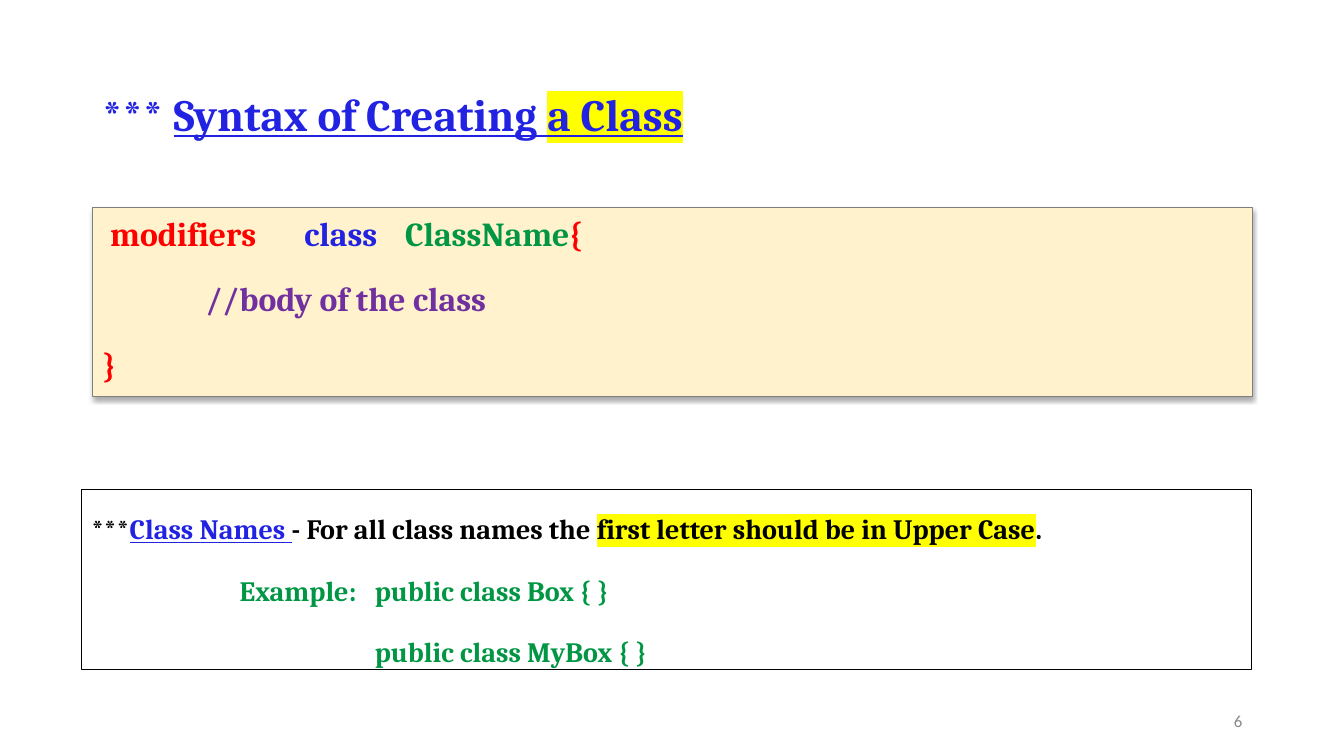
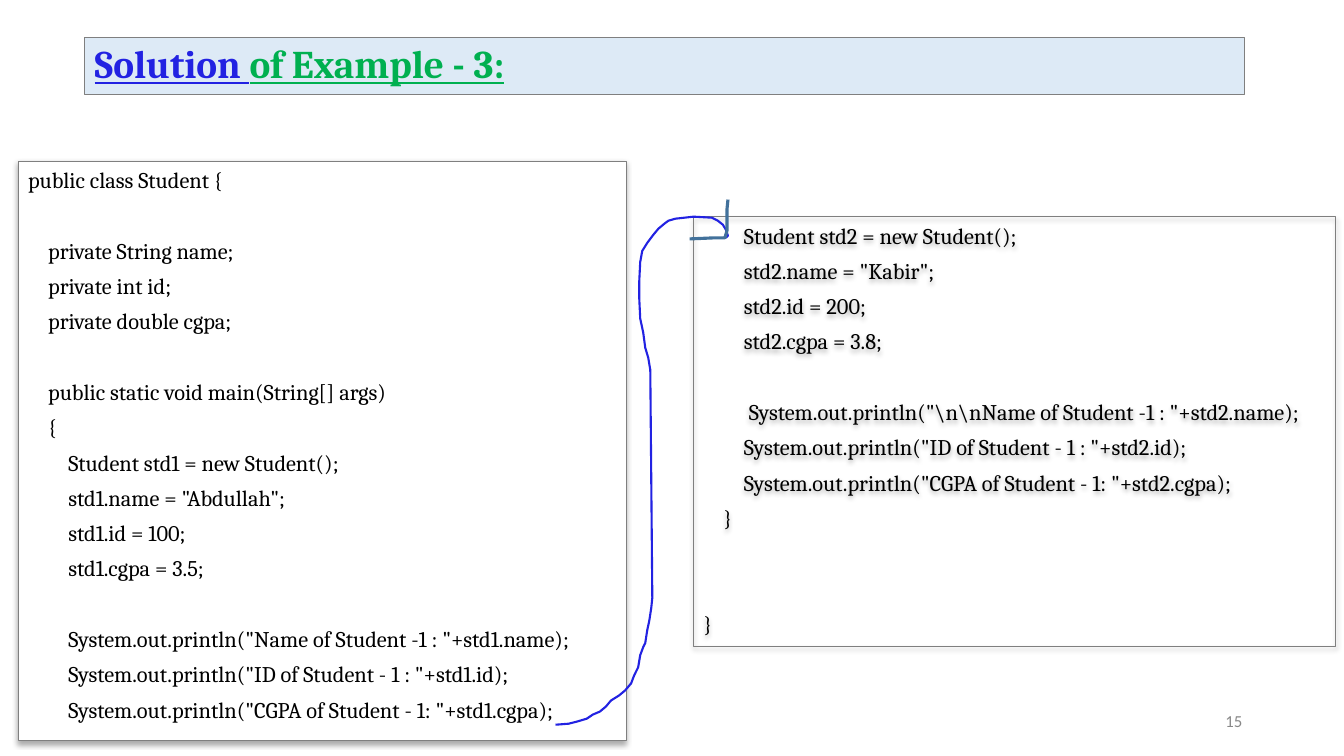
from lxml.etree import SubElement
from pptx import Presentation
from pptx.dml.color import RGBColor
from pptx.enum.shapes import MSO_SHAPE
from pptx.enum.text import MSO_ANCHOR as ANCHOR, PP_ALIGN as ALIGN
from pptx.oxml.ns import qn
from pptx.util import Inches, Pt

BLACK = RGBColor(0x00, 0x00, 0x00)
WHITE = RGBColor(0xFF, 0xFF, 0xFF)
GRAY = RGBColor(0x7F, 0x7F, 0x7F)
NUMBER_GRAY = RGBColor(0x88, 0x88, 0x88)
BLUE = RGBColor(0x22, 0x22, 0xE2)
STEEL = RGBColor(0x42, 0x71, 0x9B)
PALE_BLUE = RGBColor(0xDD, 0xEA, 0xF6)
CREAM = RGBColor(0xFF, 0xF2, 0xCC)
RED = RGBColor(0xFF, 0x00, 0x00)
GREEN = RGBColor(0x00, 0x96, 0x44)
BRIGHT_GREEN = RGBColor(0x00, 0xB0, 0x50)
PURPLE = RGBColor(0x70, 0x30, 0xA0)
YELLOW = RGBColor(0xFF, 0xFF, 0x00)

CODE_SIZE = 16
CODE_GAP = 6       # points between code lines
CODE_PITCH = 25.3  # points from one code line to the next
CODE_SPACE = 0.05  # inches of indent for each leading space

STUDENT_CLASS = r'''public class Student {

    private String name;
    private int id;
    private double cgpa;

    public static void main(String[] args)
    {
        Student std1 = new Student();
        std1.name = "Abdullah";
        std1.id = 100;
        std1.cgpa = 3.5;

        System.out.println("Name of Student -1 : "+std1.name);
        System.out.println("ID of Student - 1 : "+std1.id);
        System.out.println("CGPA of Student - 1: "+std1.cgpa);'''

SECOND_STUDENT = r'''        Student std2 = new Student();
        std2.name = "Kabir";
        std2.id = 200;
        std2.cgpa = 3.8;

         System.out.println("\n\nName of Student -1 : "+std2.name);
        System.out.println("ID of Student - 1 : "+std2.id);
        System.out.println("CGPA of Student - 1: "+std2.cgpa);
    }


}'''

LINK_CURVE = [
    (5.51, 7.19), (5.64, 7.18), (5.72, 7.16), (5.82, 7.13), (5.88, 7.09),
    (5.95, 7.06), (6.01, 7.01), (6.06, 6.95), (6.14, 6.9), (6.2, 6.85),
    (6.26, 6.78), (6.29, 6.7), (6.33, 6.62), (6.35, 6.5), (6.38, 6.42),
    (6.4, 6.38), (6.42, 6.25), (6.44, 6.16), (6.46, 6.03), (6.47, 5.93),
    (6.45, 3.67), (6.43, 3.55), (6.4, 3.45), (6.38, 3.3), (6.35, 3.16),
    (6.34, 2.95), (6.34, 2.8), (6.35, 2.6), (6.37, 2.49), (6.42, 2.41),
    (6.48, 2.33), (6.53, 2.27), (6.59, 2.22), (6.63, 2.19), (6.7, 2.17),
    (6.88, 2.15), (7.06, 2.16), (7.12, 2.19), (7.17, 2.23), (7.2, 2.28),
    (7.22, 2.34), (7.2, 2.36)]
LINK_HEAD = [(6.84, 2.37), (7.08, 2.36), (7.19, 2.36),
             (7.21, 2.29), (7.21, 2.08), (7.22, 1.98)]


def add_run(p, text, size=24, color=BLACK, bold=True, underline=False,
            highlight=None, font="Cambria"):
    r = p.add_run()
    r.text = text
    f = r.font
    f.size, f.bold, f.underline, f.name = Pt(size), bold, underline, font
    f.color.rgb = color
    if highlight is not None:
        rPr = r._r.get_or_add_rPr()
        mark = SubElement(rPr, qn("a:highlight"))
        SubElement(mark, qn("a:srgbClr"), val=str(highlight))
        rPr.find(qn("a:solidFill")).addnext(mark)


def add_shadow(shape):
    """Put a soft shadow just below the shape."""
    effects = shape._element.spPr.find(qn("a:effectLst"))
    shadow = SubElement(effects, qn("a:outerShdw"), blurRad=str(Pt(3.5)),
                        dist=str(Pt(2.2)), dir="5400000", algn="ctr",
                        rotWithShape="0")
    color = SubElement(shadow, qn("a:srgbClr"), val=str(BLACK))
    SubElement(color, qn("a:alpha"), val="32000")


class Deck:
    def __init__(self):
        self.prs = Presentation()
        self.prs.slide_width = Inches(13.33)
        self.prs.slide_height = Inches(7.5)
        self.s = None

    def new_slide(self, number):
        self.s = self.prs.slides.add_slide(self.prs.slide_layouts[6])
        tf = self.label(9.42, 6.95, 3, 0.4)
        p = self.paragraph(tf, align=ALIGN.RIGHT)
        add_run(p, str(number), size=12, color=NUMBER_GRAY, bold=False,
                font="Calibri")

    def frame(self, shape, anchor):
        tf = shape.text_frame
        tf.word_wrap = True
        tf.vertical_anchor = anchor
        return tf

    def label(self, x, y, w, h):
        sp = self.s.shapes.add_textbox(Inches(x), Inches(y), Inches(w), Inches(h))
        return self.frame(sp, ANCHOR.MIDDLE)

    def box(self, x, y, w, h, fill=None, line=GRAY, shadow=False,
            anchor=ANCHOR.TOP):
        sp = self.s.shapes.add_shape(MSO_SHAPE.RECTANGLE, Inches(x), Inches(y),
                                     Inches(w), Inches(h))
        self.outline(sp, line, 0.75)
        if fill is not None:
            sp.fill.solid()
            sp.fill.fore_color.rgb = fill
        if shadow:
            add_shadow(sp)
        return self.frame(sp, anchor)

    def outline(self, sp, color, width):
        """Leave only a plain line on the shape."""
        sp.shadow.inherit = False
        sp.fill.background()
        sp.line.color.rgb = color
        sp.line.width = Pt(width)

    def paragraph(self, tf, align=ALIGN.LEFT, before=0, spacing=1.0, left=0,
                  first=0, tabs=()):
        p = tf.paragraphs[0]
        if p.runs:
            p = tf.add_paragraph()
        p.alignment = align
        p.space_before = Pt(before)
        p.line_spacing = spacing
        pPr = p._p.get_or_add_pPr()
        pPr.set("marL", str(Inches(left)))
        pPr.set("indent", str(Inches(first)))
        if tabs:
            stops = SubElement(pPr, qn("a:tabLst"))
            for stop in tabs:
                SubElement(stops, qn("a:tab"), pos=str(Inches(stop)), algn="l")
        return p

    def code(self, tf, source):
        """Turn leading spaces into indents and empty lines into spacing."""
        before = 0
        for line in source.splitlines():
            text = line.lstrip()
            if not text:
                before += CODE_PITCH
                continue
            left = CODE_SPACE * (len(line) - len(text))
            add_run(self.paragraph(tf, before=before, left=left), text,
                    size=CODE_SIZE, bold=False)
            before = CODE_GAP

    def stroke(self, points, color, width):
        start, *rest = [(Inches(x), Inches(y)) for x, y in points]
        builder = self.s.shapes.build_freeform(*start)
        builder.add_line_segments(rest, close=False)
        self.outline(builder.convert_to_shape(), color, width)


def class_syntax(deck):
    deck.new_slide(6)

    title = deck.paragraph(deck.label(0.92, 0.74, 11.5, 0.84), spacing=0.9)
    add_run(title, "*** ", size=32, color=BLUE)
    add_run(title, "Syntax of Creating ", size=32, color=BLUE, underline=True)
    add_run(title, "a Class", size=32, color=BLUE, underline=True,
            highlight=YELLOW)

    tf = deck.box(0.92, 2.06, 11.5, 1.87, fill=CREAM, shadow=True)
    p = deck.paragraph(tf, tabs=(1.66, 2.53))
    for text, color in ((" modifiers\t", RED), ("class\t", BLUE),
                        ("ClassName", GREEN), ("{", RED)):
        add_run(p, text, color=color)
    add_run(deck.paragraph(tf, before=18, left=1.02), "//body of the class",
            color=PURPLE)
    add_run(deck.paragraph(tf, before=18), "}", color=RED)

    tf = deck.box(0.81, 4.86, 11.6, 1.78, line=BLACK)
    p = deck.paragraph(tf, spacing=1.5)
    add_run(p, "***", size=20)
    add_run(p, "Class Names ", size=20, color=BLUE, underline=True)
    add_run(p, "- For all class names the ", size=20)
    add_run(p, "first letter should be in Upper Case", size=20,
            highlight=YELLOW)
    add_run(p, ".", size=20)
    for text, first in (("Example:\tpublic class Box { }", -1.34),
                        ("public class MyBox { }", 0)):
        p = deck.paragraph(tf, before=8, spacing=1.5, left=2.81, first=first)
        add_run(p, text, size=20, color=GREEN)


def example_solution(deck):
    deck.new_slide(15)

    tf = deck.box(0.84, 0.37, 11.5, 0.57, fill=PALE_BLUE, anchor=ANCHOR.MIDDLE)
    title = deck.paragraph(tf, spacing=0.9)
    add_run(title, "Solution ", size=28, color=BLUE, underline=True)
    add_run(title, "of Example - 3:", size=28, color=BRIGHT_GREEN,
            underline=True)

    deck.code(deck.box(0.18, 1.6, 6.03, 5.75, fill=WHITE, shadow=True),
              STUDENT_CLASS)
    deck.code(deck.box(6.88, 2.15, 6.37, 4.26, shadow=True), SECOND_STUDENT)
    deck.stroke(LINK_CURVE, BLUE, 1.5)
    deck.stroke(LINK_HEAD, STEEL, 2.25)


def main():
    deck = Deck()
    class_syntax(deck)
    example_solution(deck)
    deck.prs.save("out.pptx")


if __name__ == "__main__":
    main()
